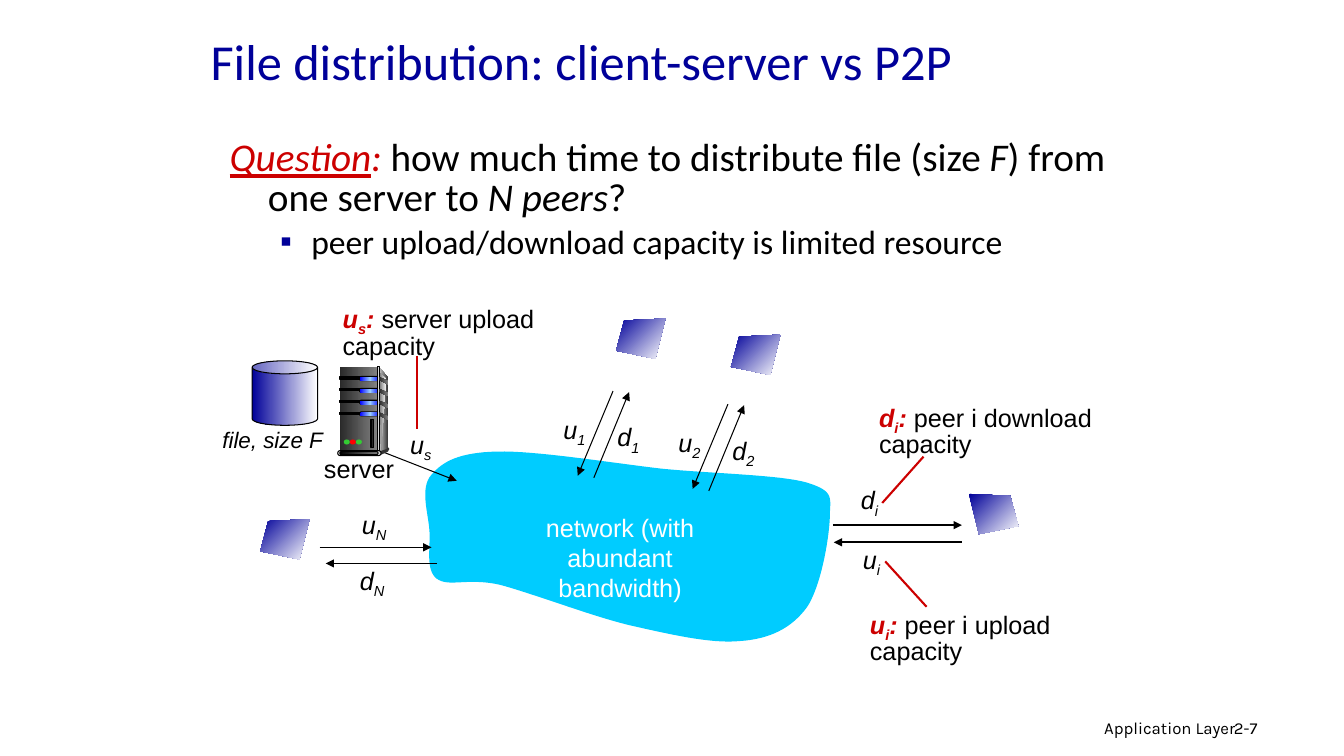
"""Build the slide on file distribution, client-server against P2P."""
import copy
from dataclasses import dataclass
from typing import Any, Optional

import lxml.etree
import pptx
import pptx.dml.color
import pptx.enum.shapes
import pptx.enum.text
import pptx.oxml.ns
import pptx.util

Point = tuple[float, float]
Area = tuple[float, float, float, float]
Paint = tuple[str, ...]
SHAPE = pptx.enum.shapes.MSO_SHAPE
ALIGN = pptx.enum.text.PP_ALIGN
qn = pptx.oxml.ns.qn
COLUMNS, ROWS = 133.3, 75
CELL = pptx.util.Inches(0.1)


@dataclass(frozen=True)
class Theme:
    """Colours, fonts and type sizes."""
    navy: str = "000099"
    red: str = "CC0000"
    black: str = "000000"
    white: str = "FFFFFF"
    cloud: str = "00CCFF"
    dark: str = "292929"
    coal: str = "333333"
    grey: str = "808080"
    silver: str = "DDDDDD"
    pale: str = "F8F8F8"
    blue: str = "0000FF"
    sky: str = "99CCFF"
    green: str = "33CC33"
    lamp: str = "FF0000"
    heading: str = "Calibri"
    label: str = "Arial"
    footer: str = "Karla"
    title_size: int = 36
    question_size: int = 28
    point_size: int = 24
    label_size: int = 18
    file_size: int = 16
    footer_size: int = 12
    hairline: float = 0.75
    heavy: float = 1.5


THEME = Theme()


@dataclass(frozen=True)
class Span:
    """A stretch of text in one format."""
    text: str
    color: str = THEME.black
    italic: bool = False
    bold: bool = False
    underline: bool = False
    lowered: bool = False


@dataclass(frozen=True)
class Line:
    """A straight line, with or without an arrowhead at its end."""
    start: Point
    end: Point
    color: str = THEME.black
    width: float = THEME.hairline
    arrow: bool = True


@dataclass(frozen=True)
class Solid:
    """A preset shape and its finish."""
    kind: Any
    area: Area
    paint: Paint
    outlined: bool = False
    adjust: Optional[float] = None


def cells(*values: float) -> list[int]:
    """Turn grid cells into slide units."""
    return [round(value * CELL) for value in values]


def rgb(color: str) -> pptx.dml.color.RGBColor:
    """Read a hex colour."""
    return pptx.dml.color.RGBColor.from_string(color)


def finish(shape: Any, paint: Paint, outlined: bool = False, angle: float = 0) -> None:
    """Fill a shape with one colour or an even gradient, and set its outline."""
    shape.shadow.inherit = False
    if len(paint) == 1:
        shape.fill.solid()
        shape.fill.fore_color.rgb = rgb(paint[0])
    else:
        shape.fill.gradient()
        shape.fill.gradient_angle = angle
        stops = shape.element.spPr.find(f".//{qn('a:gsLst')}")
        for _ in paint[2:]:
            stops.append(copy.deepcopy(stops[-1]))
        for index, (stop, color) in enumerate(zip(shape.fill.gradient_stops, paint)):
            stop.color.rgb = rgb(color)
            stop.position = index / (len(paint) - 1)
    if outlined:
        shape.line.color.rgb = rgb(THEME.black)
        shape.line.width = pptx.util.Pt(THEME.hairline)
    else:
        shape.line.fill.background()


def draw_solid(shapes: Any, solid: Solid) -> None:
    """Draw a preset shape."""
    shape = shapes.add_shape(solid.kind, *cells(*solid.area))
    if solid.adjust is not None:
        shape.adjustments[0] = solid.adjust
    finish(shape, solid.paint, solid.outlined)


def draw_outline(shapes: Any, points: list[Point], paint: Paint, angle: float = 0) -> None:
    """Draw a closed outline through the points."""
    corners = [cells(*point) for point in points]
    builder = shapes.build_freeform(*corners[0])
    builder.add_line_segments(corners[1:], close=True)
    finish(builder.convert_to_shape(), paint, angle=angle)


def trace(knots: list[Point], steps: int = 16) -> list[Point]:
    """Sample a chain of cubic curves that share their end knots."""
    points = [knots[0]]
    for first in range(0, len(knots) - 1, 3):
        curve = knots[first:first + 4]
        for step in range(1, steps + 1):
            t = step / steps
            weights = ((1 - t) ** 3, 3 * t * (1 - t) ** 2, 3 * t * t * (1 - t), t ** 3)
            points.append((sum(w * x for w, (x, _) in zip(weights, curve)),
                           sum(w * y for w, (_, y) in zip(weights, curve))))
    return points


def draw_line(shapes: Any, line: Line) -> None:
    """Draw a line or an arrow."""
    connector = shapes.add_connector(pptx.enum.shapes.MSO_CONNECTOR.STRAIGHT,
                                     *cells(*line.start, *line.end))
    connector.line.color.rgb = rgb(line.color)
    connector.line.width = pptx.util.Pt(line.width)
    properties = connector.element.spPr
    if line.arrow:
        lxml.etree.SubElement(properties.find(qn("a:ln")), qn("a:tailEnd"), type="triangle")
    lxml.etree.SubElement(properties, qn("a:effectLst"))


def write(paragraph: Any, spans: list[Span], size: float, font: str) -> None:
    """Write formatted spans into a paragraph."""
    for span in spans:
        run = paragraph.add_run()
        run.text = span.text
        run.font.name, run.font.size = font, pptx.util.Pt(size)
        run.font.color.rgb = rgb(span.color)
        run.font.bold, run.font.italic = span.bold, span.italic
        run.font.underline = span.underline
        if span.lowered:
            run._r.get_or_add_rPr().set("baseline", "-25000")


def draw_text(shapes: Any, area: Area, spans: list[Span], size: float = THEME.label_size,
              font: str = THEME.label, align: Any = ALIGN.LEFT, spacing: float = 1.0) -> Any:
    """Add a wrapping text box with one paragraph and return its frame."""
    frame = shapes.add_textbox(*cells(*area)).text_frame
    frame.word_wrap = True
    paragraph = frame.paragraphs[0]
    paragraph.alignment, paragraph.line_spacing = align, spacing
    write(paragraph, spans, size, font)
    return frame


def draw_rate(shapes: Any, corner: Point, letter: str, index: str) -> None:
    """Label a rate with its letter and index."""
    draw_text(shapes, (*corner, 6.7, 4.4),
              [Span(letter, italic=True), Span(index, italic=True, lowered=True)])


def draw_callout(shapes: Any, area: Area, letter: str, index: str, meaning: str) -> None:
    """Explain a rate."""
    key = [Span(text, THEME.red, True, True, lowered=text == index) for text in (letter, index, ":")]
    draw_text(shapes, area, [*key, Span(f" {meaning}")], spacing=0.85)


def draw_peer(shapes: Any, left: float, top: float, mirrored: bool = False) -> None:
    """Draw a peer as a tilted screen."""
    screen = [(4.9, 0), (0.8, 0.2), (0, 3.2), (3.9, 4)]
    draw_outline(shapes, [(left + (4.9 - x if mirrored else x), top + y) for x, y in screen],
                 (THEME.navy, THEME.white), 315)


def draw_server(shapes: Any) -> None:
    """Draw the server tower."""
    t = THEME
    bays = [37.4 + 1.17 * bay for bay in range(4)]
    draw_outline(shapes, [(37.7, 36.5), (38.5, 37.5), (38.5, 44.5), (37.5, 44.8)], (t.silver, t.coal))
    draw_solid(shapes, Solid(SHAPE.RECTANGLE, (33.7, 36.4, 3.7, 8.4), (t.dark, t.grey)))
    draw_outline(shapes, [(37.7, 37), (38.3, 37.6), (37.8, 44.6)], (t.grey, t.pale))
    for top in bays:
        for solid in (Solid(SHAPE.RECTANGLE, (33.7, top, 2.1, 0.2), (t.black,), True),
                      Solid(SHAPE.ROUNDED_RECTANGLE, (35.6, top - 0.1, 2.1, 0.5), (t.black,), adjust=0.5),
                      Solid(SHAPE.ROUNDED_RECTANGLE, (35.7, top, 2, 0.4), (t.blue, t.sky, t.blue), adjust=0.5)):
            draw_solid(shapes, solid)
    draw_solid(shapes, Solid(SHAPE.RECTANGLE, (37.4, 36.4, 0.2, 8.4), (t.coal, t.silver, t.coal), True))
    for top in bays:
        draw_outline(shapes, [(37.6, top), (38.5, top + 0.4), (38.5, top + 0.75), (37.6, top + 0.3)],
                     (t.dark, t.grey))
    draw_solid(shapes, Solid(SHAPE.OVAL, (38.4, 44.4, 0.2, 0.3), (t.coal,)))
    draw_outline(shapes, [(37.6, 44.8), (37.6, 45.2), (38.5, 44.8), (38.5, 44.5)], (t.coal,))
    for solid in (Solid(SHAPE.ROUNDED_RECTANGLE, (33.5, 44.7, 4.3, 0.5), (t.silver,), True, 0.5),
                  Solid(SHAPE.ROUNDED_RECTANGLE, (33.7, 44.8, 3.8, 0.3), (t.black, t.grey), True, 0.5),
                  Solid(SHAPE.RECTANGLE, (36.8, 41.6, 0.3, 2.8), (t.dark,), True)):
        draw_solid(shapes, solid)
    for order, color in enumerate((t.green, t.lamp, t.green)):
        draw_solid(shapes, Solid(SHAPE.OVAL, (34.1 + 0.6 * order, 43.6, 0.6, 0.5), (color,)))


def draw_words(shapes: Any) -> None:
    """Write the footer, title and question."""
    t = THEME
    draw_text(shapes, (81.3, 70.7, 42.2, 3.1), [Span("Application Layer")], t.footer_size, t.footer, ALIGN.RIGHT)
    draw_text(shapes, (121.4, 70.7, 9.9, 3), [Span("2-7")], t.footer_size, t.footer)
    title = draw_text(shapes, (19.9, 1.7, 93.2, 8.5), [Span("File distribution: client-server vs P2P", t.navy)],
                      t.title_size, t.heading)
    title.vertical_anchor = pptx.enum.text.MSO_ANCHOR.MIDDLE
    question = [Span("Question", t.red, True, underline=True), Span(":", t.red, True),
                Span(" how much time to distribute file (size "), Span("F", italic=True),
                Span(") from one server to "), Span("N peers", italic=True), Span("?")]
    body = draw_text(shapes, (21.8, 13.4, 90.3, 9.6), question, t.question_size, t.heading, spacing=0.85)
    point = body.add_paragraph()
    point.line_spacing, point.space_before = 0.85, pptx.util.Pt(4.8)
    for paragraph, margin, indent in ((body.paragraphs[0], 3.8, -3.8), (point, 8.1, -3.1)):
        properties = paragraph._p.get_or_add_pPr()
        for name, length in zip(("marL", "indent"), cells(margin, indent)):
            properties.set(name, str(length))
    bullet_color = lxml.etree.SubElement(properties, qn("a:buClr"))
    lxml.etree.SubElement(bullet_color, qn("a:srgbClr"), val=t.navy)
    lxml.etree.SubElement(properties, qn("a:buFont"), typeface=t.label)
    lxml.etree.SubElement(properties, qn("a:buChar"), char="▪")
    write(point, [Span("peer upload/download capacity is limited resource")], t.point_size, t.heading)


def draw_network(shapes: Any) -> None:
    """Draw the network, its links and their labels."""
    t = THEME
    cloud = [(49.3, 44.8), (45.5, 44.9), (43.9, 45.8), (42.8, 47.1), (41.6, 48.4), (42.5, 51), (42.6, 52.7),
             (42.7, 54.4), (42.2, 56.5), (43.3, 57.4), (44.5, 58.3), (46.3, 57.3), (49.5, 58),
             (52.6, 58.8), (58.3, 61), (62.3, 62), (66.3, 62.9), (70.5, 63.9), (73.4, 63.6),
             (76.4, 63.4), (78.5, 62.3), (80, 60.3), (81.4, 58.3), (82.2, 53.6), (82.3, 51.5),
             (82.3, 49.4), (82.9, 48.8), (80.1, 47.9), (77.4, 47.1), (70.7, 47), (65.6, 46.5),
             (60.5, 45.9), (53.1, 44.7), (49.3, 44.8)]
    draw_outline(shapes, trace(cloud), (t.cloud,))
    for line in (Line((36.6, 44.3), (45.3, 47.7)),
                 Line((31.7, 54.3), (42.8, 54.3)), Line((43.3, 55.9), (32.3, 55.9)),
                 Line((82.6, 52.1), (95.4, 52.1), width=t.heavy), Line((95.4, 53.8), (82.7, 53.8), width=t.heavy),
                 Line((41.4, 35.3), (41.4, 42.6), t.red, t.heavy, False),
                 Line((91.6, 45.3), (87.5, 49.9), t.red, t.heavy, False),
                 Line((91.9, 60.2), (87.8, 55.7), t.red, t.heavy, False)):
        draw_line(shapes, line)
    for corner, letter, index in (((39.7, 42.1), "u", "s"), ((34.9, 50), "u", "N"), ((34.7, 55.6), "d", "N"),
                                  ((84.4, 47.6), "d", "i"), ((84.6, 53.5), "u", "i")):
        draw_rate(shapes, corner, letter, index)
    for index, (x, y) in (("2", (66.3, 41.9)), ("1", (54.9, 40.6))):
        link = shapes.add_group_shape().shapes
        draw_rate(link, (x, y), "u", index)
        draw_line(link, Line((x + 5.9, y - 1.8), (x + 2.4, y + 6.6)))
        draw_line(link, Line((x + 4, y + 6.8), (x + 7.5, y - 1.7)))
        draw_rate(link, (x + 5.35, y + 0.75), "d", index)
    draw_callout(shapes, (33, 29.8, 22, 6.4), "u", "s", "server upload capacity")
    draw_callout(shapes, (85.3, 60.1, 21, 6.4), "u", "i", "peer i upload capacity")
    draw_callout(shapes, (86.2, 39.6, 23.2, 6.4), "d", "i", "peer i download capacity")
    draw_text(shapes, (29.2, 44.5, 12.8, 4), [Span("server")], align=ALIGN.CENTER)
    draw_text(shapes, (19.4, 41.8, 15.3, 3.6), [Span("file, size F", italic=True)], t.file_size, align=ALIGN.CENTER)
    network = draw_text(shapes, (51.5, 50.3, 20, 10), [Span("network (with abundant", t.white)], align=ALIGN.CENTER)
    ending = network.add_paragraph()
    ending.alignment = ALIGN.CENTER
    write(ending, [Span("bandwidth)", t.white)], t.label_size, t.label)
    draw_solid(shapes, Solid(SHAPE.CAN, (25, 35.8, 6.5, 6.4), (t.navy, t.white), True, 0.202))


def main() -> None:
    """Build and save the deck."""
    deck = pptx.Presentation()
    deck.slide_width, deck.slide_height = cells(COLUMNS, ROWS)
    shapes = deck.slides.add_slide(deck.slide_layouts[6]).shapes
    draw_words(shapes)
    draw_network(shapes)
    draw_server(shapes.add_group_shape().shapes)
    for left, top in ((25.8, 51.5), (61.1, 31.6), (72.5, 33.2)):
        draw_peer(shapes, left, top)
    draw_peer(shapes, 96.1, 49, mirrored=True)
    deck.save("out.pptx")


if __name__ == "__main__":
    main()
